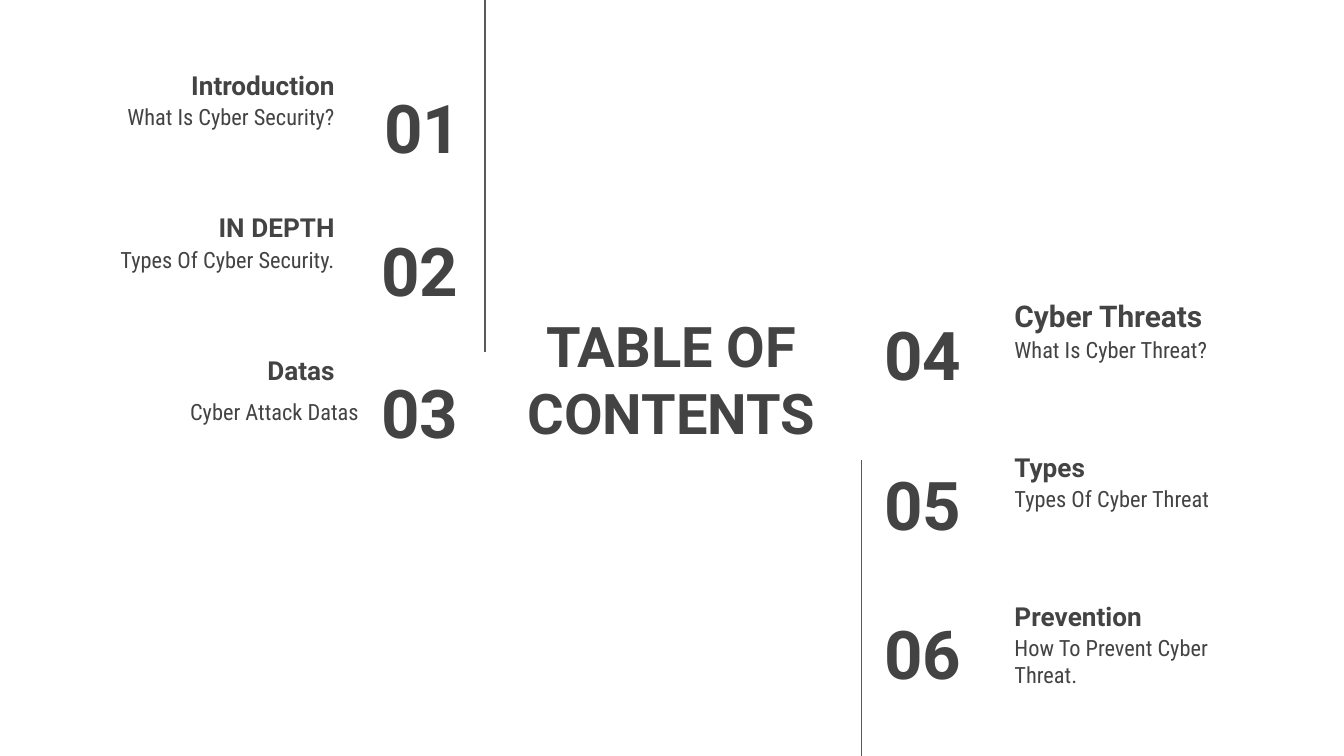
import pptx
import pptx.util
import pptx.dml.color
import pptx.enum.shapes
import pptx.enum.text
import pptx.oxml.xmlchemy
from pptx.util import Inches

COLORS = {"text": "434343", "threats": "444444", "line": "595959", "background": "FFFFFF"}
HEADING_FONT = "Roboto"
BODY_FONT = "Roboto Condensed"
ALIGN = pptx.enum.text.PP_ALIGN
ANCHOR = pptx.enum.text.MSO_ANCHOR
ROW_HEIGHT = 0.63

LEFT_ITEMS = [
    ("01", "Introduction", "What Is Cyber Security?", 2.32, 0.76, 1.83, 0.45),
    ("02", "IN DEPTH", "Types Of Cyber Security.", 2.3, 0.76, 1.83, 0.45),
    ("03", "Datas", "Cyber Attack Datas", 2.3, 0.1, 2.67, 0.52),
]
RIGHT_ITEMS = [
    ("04", "Cyber Threats", "What Is Cyber Threat?", 16, "threats"),
    ("05", "Types", "Types Of Cyber Threat", 14, "text"),
    ("06", "Prevention", "How To Prevent Cyber Threat.", 14, "text"),
]


def rgb(name):
    return pptx.dml.color.RGBColor.from_string(COLORS[name])


def format_text(sp, text, size, align, anchor, font=HEADING_FONT, color="text"):
    tf = sp.text_frame
    tf.word_wrap = True
    tf.auto_size = pptx.enum.text.MSO_AUTO_SIZE.NONE
    tf.vertical_anchor = anchor
    tf.margin_left = tf.margin_right = tf.margin_top = tf.margin_bottom = Inches(0.1)
    p = tf.paragraphs[0]
    p.text = text
    p.alignment = align
    p.font.name = font
    p.font.size = pptx.util.Pt(size)
    p.font.bold = font == HEADING_FONT
    p.font.color.rgb = rgb(color)


def add_title(s, text):
    sp = s.shapes.title
    sp.left, sp.top, sp.width, sp.height = [Inches(v) for v in (3.7, 2.3, 2.59, 1.03)]
    format_text(sp, text, 30, ALIGN.CENTER, ANCHOR.MIDDLE)


def add_text(s, left, top, width, *args, **kwargs):
    sp = s.shapes.add_textbox(Inches(left), Inches(top), Inches(width), Inches(ROW_HEIGHT))
    format_text(sp, *args, **kwargs)


def add_number(s, left, top, width, text, align):
    add_text(s, left, top, width, text, 36, align, ANCHOR.MIDDLE)


def add_heading(s, left, top, text, align, size=14, color="text"):
    add_text(s, left, top, 2.16, text, size, align, ANCHOR.BOTTOM, color=color)


def add_description(s, left, top, width, text, align):
    add_text(s, left, top, width, text, 12, align, ANCHOR.TOP, font=BODY_FONT)


def add_rule(s, x, top, bottom):
    line = s.shapes.add_connector(
        pptx.enum.shapes.MSO_CONNECTOR.STRAIGHT,
        Inches(x), Inches(top), Inches(x), Inches(bottom))
    line.line.color.rgb = rgb("line")
    line.line.width = pptx.util.Pt(0.75)
    line._element.spPr.append(pptx.oxml.xmlchemy.OxmlElement("a:effectLst"))


def main():
    prs = pptx.Presentation()
    prs.slide_width = Inches(10)
    prs.slide_height = prs.slide_width * 9 // 16
    s = prs.slides.add_slide(prs.slide_layouts[5])
    s.background.fill.solid()
    s.background.fill.fore_color.rgb = rgb("background")

    add_title(s, "TABLE OF CONTENTS")
    for i, (number, heading, description, number_x, x, width, gap) in enumerate(LEFT_ITEMS):
        top = 0.22 + 1.06 * i
        add_number(s, number_x, top + 0.41, 1.21, number, ALIGN.RIGHT)
        add_heading(s, 0.43, top, heading, ALIGN.RIGHT)
        add_description(s, x, top + gap, width, description, ALIGN.RIGHT)
    for i, (number, heading, description, size, color) in enumerate(RIGHT_ITEMS):
        top = 1.95 + 1.11 * i
        add_number(s, 6.48, top + 0.37, 1.17, number, ALIGN.LEFT)
        add_heading(s, 7.45, top, heading, ALIGN.LEFT, size, color)
        add_description(s, 7.45, top + 0.45, 1.83, description, ALIGN.LEFT)
    add_rule(s, 3.61, 0, 2.62)
    add_rule(s, 6.41, 3.42, 5.64)
    prs.save("out.pptx")


if __name__ == "__main__":
    main()
